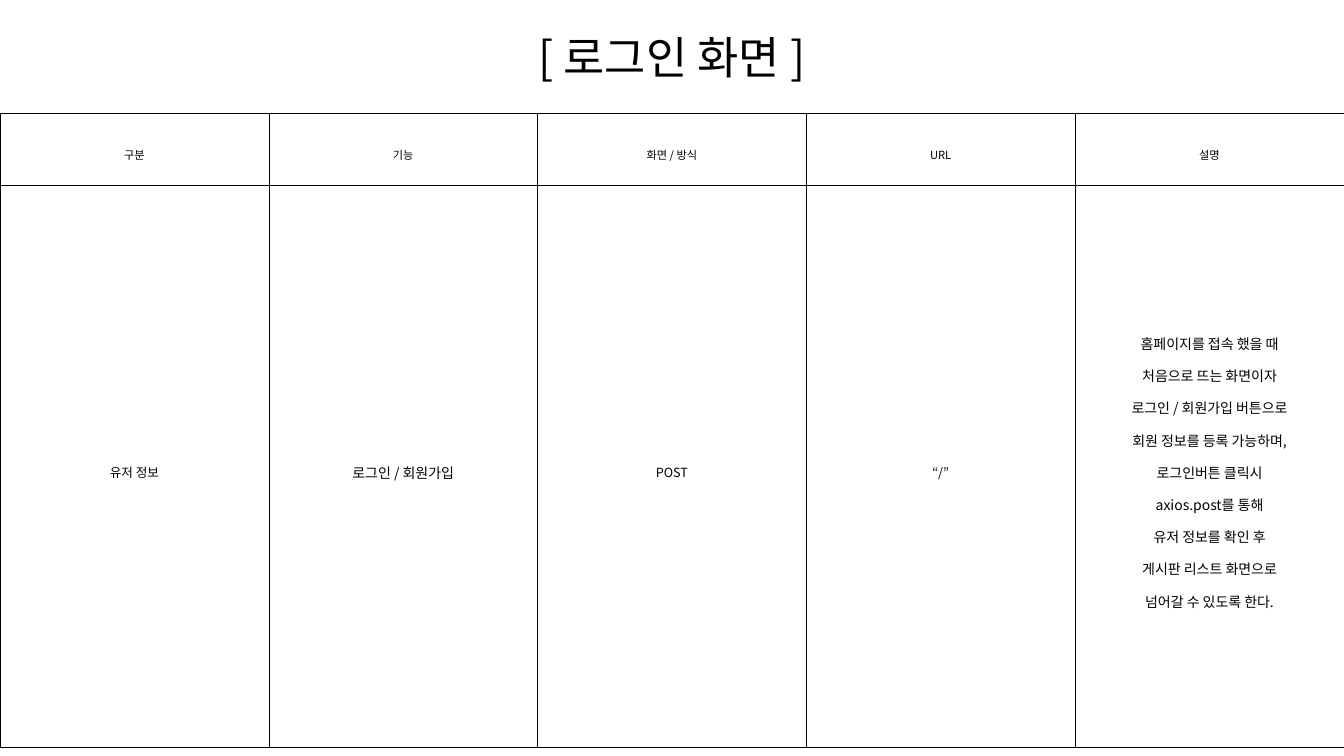
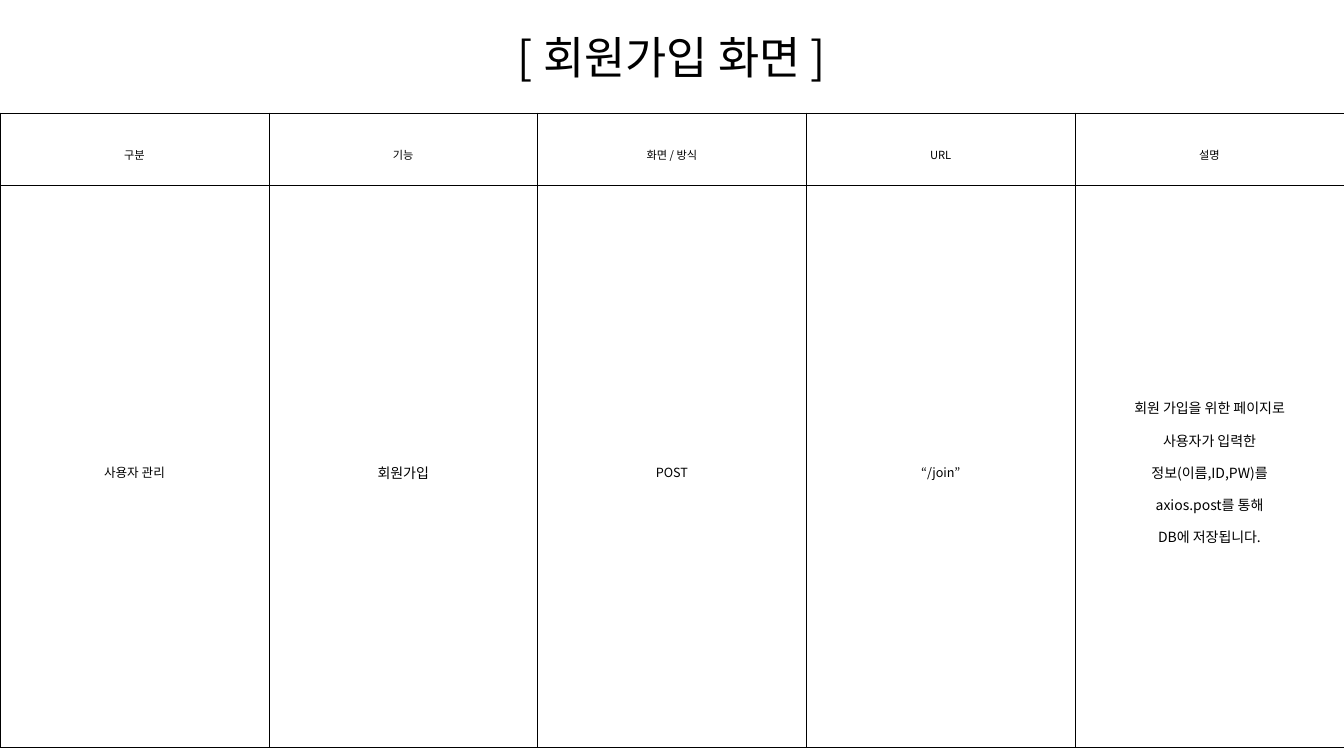
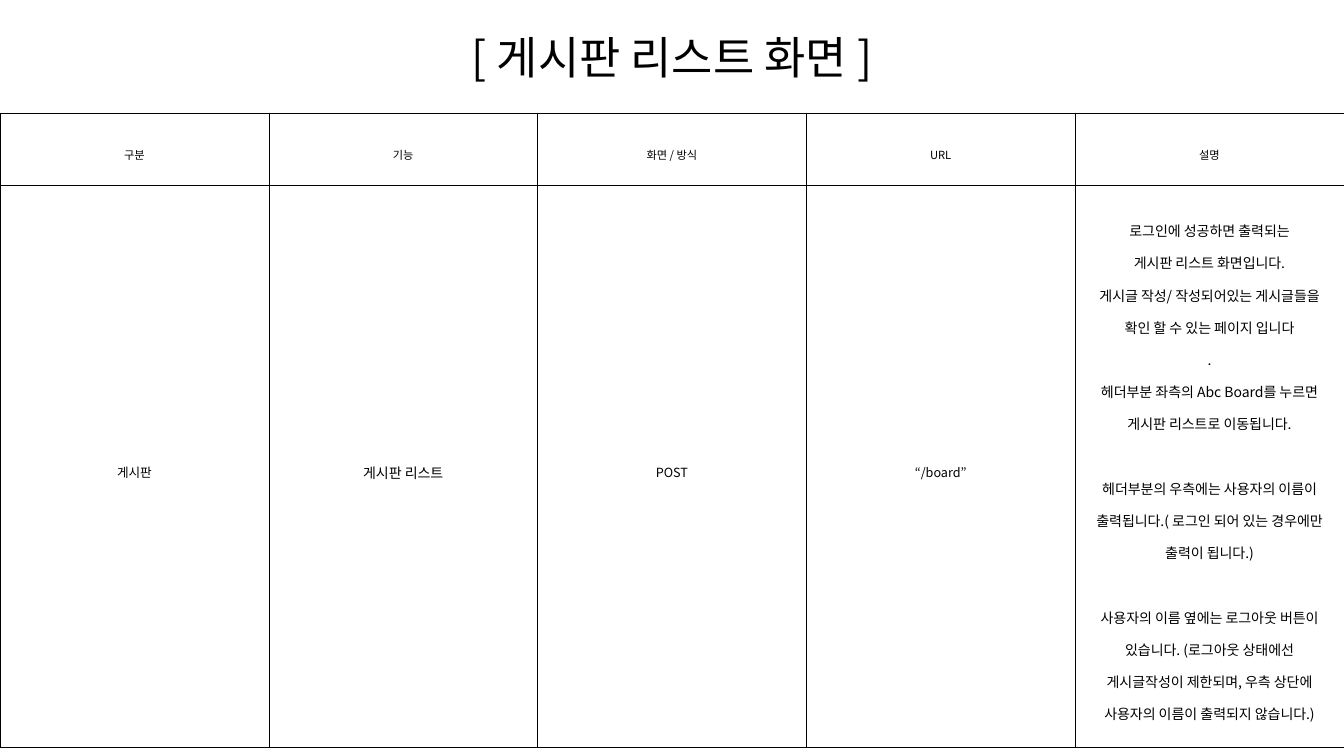
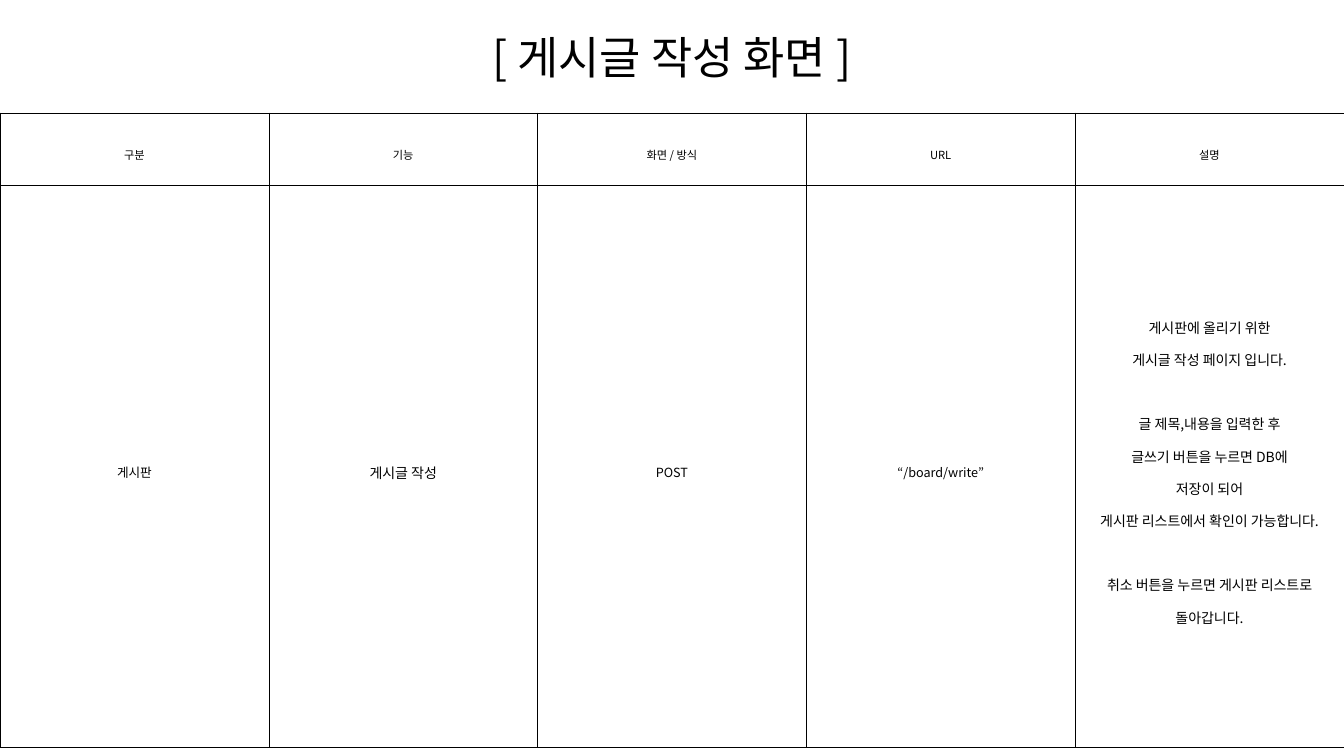
from lxml.etree import SubElement
from pptx import Presentation
from pptx.dml.color import RGBColor
from pptx.enum.text import MSO_ANCHOR, MSO_AUTO_SIZE, PP_ALIGN
from pptx.oxml.ns import qn
from pptx.util import Inches, Pt

# Shared look
BLACK = RGBColor(0x00, 0x00, 0x00)
FONT = "Noto Sans CJK KR"
SLIDE_WIDTH, SLIDE_HEIGHT = Inches(13.33), Inches(7.5)
TITLE_TOP, TITLE_HEIGHT, TITLE_SIZE = Inches(0.24), Inches(0.64), 32
TABLE_TOP = Inches(1.12)
ROW_HEIGHTS = [Inches(0.72), Inches(5.57)]
BORDER_WIDTH = Pt(0.28)
LINE_SPACING = 1.6
GROUP_GAP = Pt(23)
CELL_FORMAT = {
    "margin_left": Inches(0.07), "margin_right": Inches(0.07),
    "margin_top": Inches(0.02), "margin_bottom": Inches(0.02),
    "vertical_anchor": MSO_ANCHOR.MIDDLE,
}
TITLE_FORMAT = {
    "margin_left": 0, "margin_right": 0, "margin_top": 0, "margin_bottom": 0,
    "vertical_anchor": MSO_ANCHOR.MIDDLE, "word_wrap": True,
    "auto_size": MSO_AUTO_SIZE.NONE,
}

# Content: each cell is a list of groups, each group a list of lines
HEADERS = ["구분", "기능", "화면 / 방식", "URL", "설명"]
HEADER_SIZES = [8] * len(HEADERS)
BODY_SIZES = [9, 10, 9, 9, 10]
SCREENS = [
    {
        "title": "[ 로그인 화면 ]",
        "values": ["유저 정보", "로그인 / 회원가입", "POST", "“/”"],
        "description": [[
            "홈페이지를 접속 했을 때",
            "처음으로 뜨는 화면이자",
            "로그인 / 회원가입 버튼으로",
            "회원 정보를 등록 가능하며,",
            "로그인버튼 클릭시",
            "axios.post를 통해",
            "유저 정보를 확인 후",
            "게시판 리스트 화면으로",
            "넘어갈 수 있도록 한다.",
        ]],
    },
    {
        "title": "[ 회원가입 화면 ]",
        "values": ["사용자 관리", "회원가입", "POST", "“/join”"],
        "description": [[
            "회원 가입을 위한 페이지로",
            "사용자가 입력한",
            "정보(이름,ID,PW)를",
            "axios.post를 통해",
            "DB에 저장됩니다.",
        ]],
    },
    {
        "title": "[ 게시판 리스트 화면 ]",
        "values": ["게시판", "게시판 리스트", "POST", "“/board”"],
        "description": [
            [
                "로그인에 성공하면 출력되는",
                "게시판 리스트 화면입니다.",
                "게시글 작성/ 작성되어있는 게시글들을",
                "확인 할 수 있는 페이지 입니다",
                ".",
                "헤더부분 좌측의 Abc Board를 누르면",
                "게시판 리스트로 이동됩니다.",
            ],
            [
                "헤더부분의 우측에는 사용자의 이름이",
                "출력됩니다.( 로그인 되어 있는 경우에만 출력이 됩니다.)",
            ],
            [
                "사용자의 이름 옆에는 로그아웃 버튼이 있습니다. (로그아웃 상태에선",
                "게시글작성이 제한되며, 우측 상단에",
                "사용자의 이름이 출력되지 않습니다.)",
            ],
        ],
    },
    {
        "title": "[ 게시글 작성 화면 ]",
        "values": ["게시판", "게시글 작성", "POST", "“/board/write”"],
        "description": [
            ["게시판에 올리기 위한", "게시글 작성 페이지 입니다."],
            [
                "글 제목,내용을 입력한 후",
                "글쓰기 버튼을 누르면 DB에",
                "저장이 되어",
                "게시판 리스트에서 확인이 가능합니다.",
            ],
            ["취소 버튼을 누르면 게시판 리스트로", "돌아갑니다."],
        ],
    },
]


def apply_format(target, values):
    for name, value in values.items():
        setattr(target, name, value)


def write_line(para, text, size, **para_format):
    apply_format(para, {"alignment": PP_ALIGN.CENTER, **para_format})
    span = para.add_run()
    span.text = text
    apply_format(span.font, {"size": Pt(size), "name": FONT, "bold": False})
    span.font.color.rgb = BLACK
    # East Asian letters take their own typeface
    SubElement(span.font._element, qn("a:ea"), typeface=FONT)


def add_borders(cell):
    properties = cell._tc.get_or_add_tcPr()
    for side in ("a:lnL", "a:lnR", "a:lnT", "a:lnB"):
        line = SubElement(properties, qn(side), w=str(int(BORDER_WIDTH)))
        fill = SubElement(line, qn("a:solidFill"))
        SubElement(fill, qn("a:srgbClr"), val=str(BLACK))


def fill_cell(cell, groups, size):
    apply_format(cell, CELL_FORMAT)
    add_borders(cell)
    cell.fill.background()
    frame = cell.text_frame
    para = frame.paragraphs[0]
    for group_index, lines in enumerate(groups):
        for line_index, text in enumerate(lines):
            if group_index or line_index:
                para = frame.add_paragraph()
            starts_group = group_index > 0 and line_index == 0
            write_line(para, text, size, line_spacing=LINE_SPACING,
                       space_before=GROUP_GAP if starts_group else Pt(0))


def add_title(page, text):
    title = page.shapes.title
    apply_format(title, {"left": 0, "top": TITLE_TOP,
                         "width": SLIDE_WIDTH, "height": TITLE_HEIGHT})
    apply_format(title.text_frame, TITLE_FORMAT)
    write_line(title.text_frame.paragraphs[0], text, TITLE_SIZE)


def add_screen_table(page, screen):
    rows = [
        ([[[header]] for header in HEADERS], HEADER_SIZES),
        ([[[value]] for value in screen["values"]] + [screen["description"]],
         BODY_SIZES),
    ]
    table = page.shapes.add_table(len(rows), len(HEADERS), 0, TABLE_TOP,
                                  SLIDE_WIDTH, sum(ROW_HEIGHTS)).table
    apply_format(table, {"first_row": False, "horz_banding": False})
    for row, height in zip(table.rows, ROW_HEIGHTS):
        row.height = height
    for row, (contents, sizes) in zip(table.rows, rows):
        for cell, groups, size in zip(row.cells, contents, sizes):
            fill_cell(cell, groups, size)


def main():
    deck = Presentation()
    apply_format(deck, {"slide_width": SLIDE_WIDTH,
                        "slide_height": SLIDE_HEIGHT})
    title_only = deck.slide_layouts[5]
    for screen in SCREENS:
        page = deck.slides.add_slide(title_only)
        add_title(page, screen["title"])
        add_screen_table(page, screen)
    deck.save("out.pptx")


if __name__ == "__main__":
    main()
